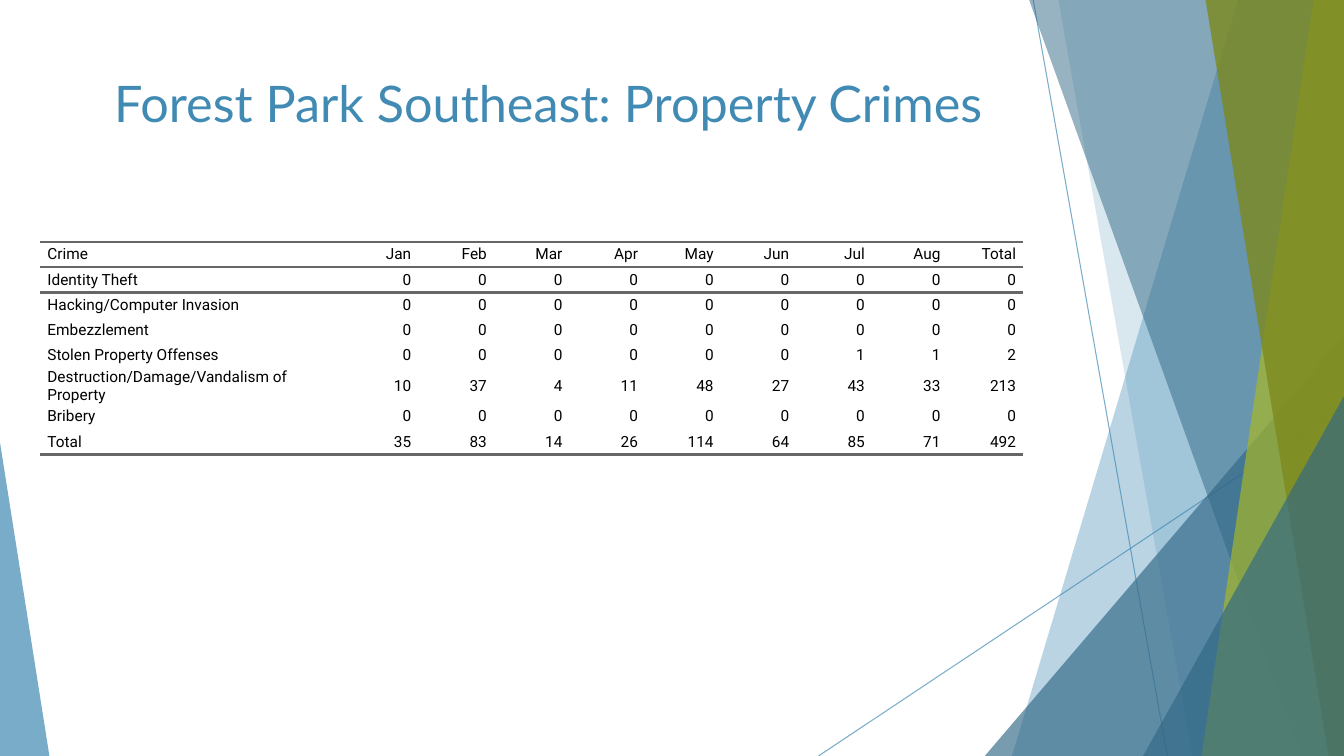
from dataclasses import dataclass

from lxml.etree import SubElement
from pptx import Presentation
from pptx.dml.color import RGBColor
from pptx.enum.shapes import MSO_CONNECTOR, MSO_SHAPE
from pptx.enum.text import MSO_ANCHOR, MSO_AUTO_SIZE, PP_ALIGN
from pptx.oxml import parse_xml
from pptx.oxml.ns import nsdecls, qn
from pptx.util import Inches, Pt


@dataclass(frozen=True)
class Theme:
    blue: str = "418AB3"
    navy: str = "316886"
    lime: str = "A6B727"
    olive: str = "7D891D"
    ink: str = "000000"
    rule: str = "666666"
    title_font: str = "Lato"
    table_font: str = "Roboto"
    title_size: int = 36
    table_size: int = 11
    cell_spacing: int = 5
    table_rule: int = 2
    hairline: float = 0.75


MODULE = Inches(0.1)
COLUMNS, ROWS = 133.33, 75
NO_TABLE_STYLE = "{2D5ABB26-0587-4C30-8999-92F81FD0307C}"

MONTHS = ["Jan", "Feb", "Mar", "Apr", "May", "Jun", "Jul", "Aug"]
NO_CASES = [0] * 9
CRIMES = [
    ["Crime", *MONTHS, "Total"],
    ["Identity Theft", *NO_CASES],
    ["Hacking/Computer Invasion", *NO_CASES],
    ["Embezzlement", *NO_CASES],
    ["Stolen Property Offenses", 0, 0, 0, 0, 0, 0, 1, 1, 2],
    ["Destruction/Damage/Vandalism of Property", 10, 37, 4, 11, 48, 27, 43, 33, 213],
    ["Bribery", *NO_CASES],
    ["Total", 35, 83, 14, 26, 114, 64, 85, 71, 492],
]


def grid(*modules):
    return [round(MODULE * count) for count in modules]


class SlideBuilder:
    def __init__(self, slide, theme):
        self.slide = slide
        self.theme = theme

    def set_opacity(self, part, percent):
        for color in part.element.iter(qn("a:srgbClr")):
            SubElement(color, qn("a:alpha")).set("val", str(percent * 1000))

    def paint(self, part, color, opacity):
        part.shadow.inherit = False
        part.fill.solid()
        part.fill.fore_color.rgb = RGBColor.from_string(color)
        part.line.fill.background()
        self.set_opacity(part, opacity)

    def ray(self, start, end):
        ray = self.slide.shapes.add_connector(
            MSO_CONNECTOR.STRAIGHT, *grid(*start, *end))
        ray.line.color.rgb = RGBColor.from_string(self.theme.blue)
        ray.line.width = Pt(self.theme.hairline)
        SubElement(ray.element.spPr, qn("a:effectLst"))
        self.set_opacity(ray, 70)

    def shard(self, top, bottom, color, opacity):
        corners = [(COLUMNS, 0), (COLUMNS, ROWS), (bottom, ROWS)]
        outline = self.slide.shapes.build_freeform(*grid(top, 0))
        outline.add_line_segments([grid(*corner) for corner in corners], close=True)
        self.paint(outline.convert_to_shape(), color, opacity)

    def wedge(self, left, top, width, apex, color, opacity):
        wedge = self.slide.shapes.add_shape(
            MSO_SHAPE.ISOSCELES_TRIANGLE, *grid(left, top, width, ROWS - top))
        wedge.adjustments[0] = apex
        self.paint(wedge, color, opacity)

    def add_text(self, paragraph, text, font, size, color, align):
        paragraph.alignment = align
        run = paragraph.add_run()
        run.text = text
        run.font.name = font
        run.font.size = Pt(size)
        run.font.color.rgb = RGBColor.from_string(color)

    def title(self, text, left, top, width, height):
        heading = self.slide.shapes.title
        heading.left, heading.top, heading.width, heading.height = grid(
            left, top, width, height)
        frame = heading.text_frame
        frame.word_wrap = True
        frame.auto_size = MSO_AUTO_SIZE.NONE
        frame.vertical_anchor = MSO_ANCHOR.TOP
        self.add_text(frame.paragraphs[0], text, self.theme.title_font,
                      self.theme.title_size, self.theme.blue, PP_ALIGN.CENTER)

    def cell(self, cell, value, align, ruled_sides):
        cell.fill.background()
        cell.vertical_anchor = MSO_ANCHOR.MIDDLE
        cell.margin_left = cell.margin_right = 0
        cell.margin_top = cell.margin_bottom = 0
        paragraph = cell.text_frame.paragraphs[0]
        self.add_text(paragraph, str(value), self.theme.table_font,
                      self.theme.table_size, self.theme.ink, align)
        paragraph.space_before = paragraph.space_after = Pt(self.theme.cell_spacing)
        indents = paragraph._p.get_or_add_pPr()
        for side in ("marL", "marR"):
            indents.set(side, str(Inches(0.07)))
        indents.set("indent", "0")
        properties = cell._tc.get_or_add_tcPr()
        for position, side in enumerate(ruled_sides):
            properties.insert(position, parse_xml(
                f'<a:{side} {nsdecls("a")} w="{Pt(self.theme.table_rule)}">'
                f'<a:solidFill><a:srgbClr val="{self.theme.rule}"/></a:solidFill>'
                f'</a:{side}>'))

    def table(self, records, left, top, column_widths, row_height):
        table = self.slide.shapes.add_table(
            len(records), len(column_widths),
            *grid(left, top, sum(column_widths), row_height * len(records))).table
        table.first_row = table.horz_banding = False
        table._tbl.tblPr.find(qn("a:tableStyleId")).text = NO_TABLE_STYLE
        for column, width in zip(table.columns, grid(*column_widths)):
            column.width = width
        ruled = {0: ["lnT", "lnB"], 1: ["lnT"], len(records) - 1: ["lnB"]}
        for row, record in enumerate(records):
            table.rows[row].height = grid(row_height)[0]
            for column, value in enumerate(record):
                align = PP_ALIGN.RIGHT if column else PP_ALIGN.LEFT
                self.cell(table.cell(row, column), value, align, ruled.get(row, []))


def main():
    theme = Theme()
    deck = Presentation()
    deck.slide_width, deck.slide_height = grid(COLUMNS, ROWS)
    page = SlideBuilder(deck.slides.add_slide(deck.slide_layouts[5]), theme)

    page.ray((102.5, 0), (115.8, ROWS))
    page.ray((COLUMNS, 40.3), (81.2, ROWS))
    page.shard(122.8, 100.4, theme.blue, 36)
    page.shard(105, 118.3, theme.blue, 20)
    page.wedge(97.7, 33.3, COLUMNS - 97.7, 1, theme.navy, 66)
    page.shard(102.1, 129.1, theme.navy, 50)
    page.shard(130.3, 119.2, theme.lime, 70)
    page.shard(119.6, 131.8, theme.olive, 80)
    page.wedge(113.4, 39.3, COLUMNS - 113.4, 1, theme.navy, 66)
    page.wedge(0, 43.9, 4.9, 0, theme.blue, 70)

    page.table(CRIMES, 4, 24, [30] + [7.5] * 9, 2.5)
    page.title("Forest Park Southeast: Property Crimes", 7.4, 6.7, 94, 14.4)
    deck.save("out.pptx")


if __name__ == "__main__":
    main()
